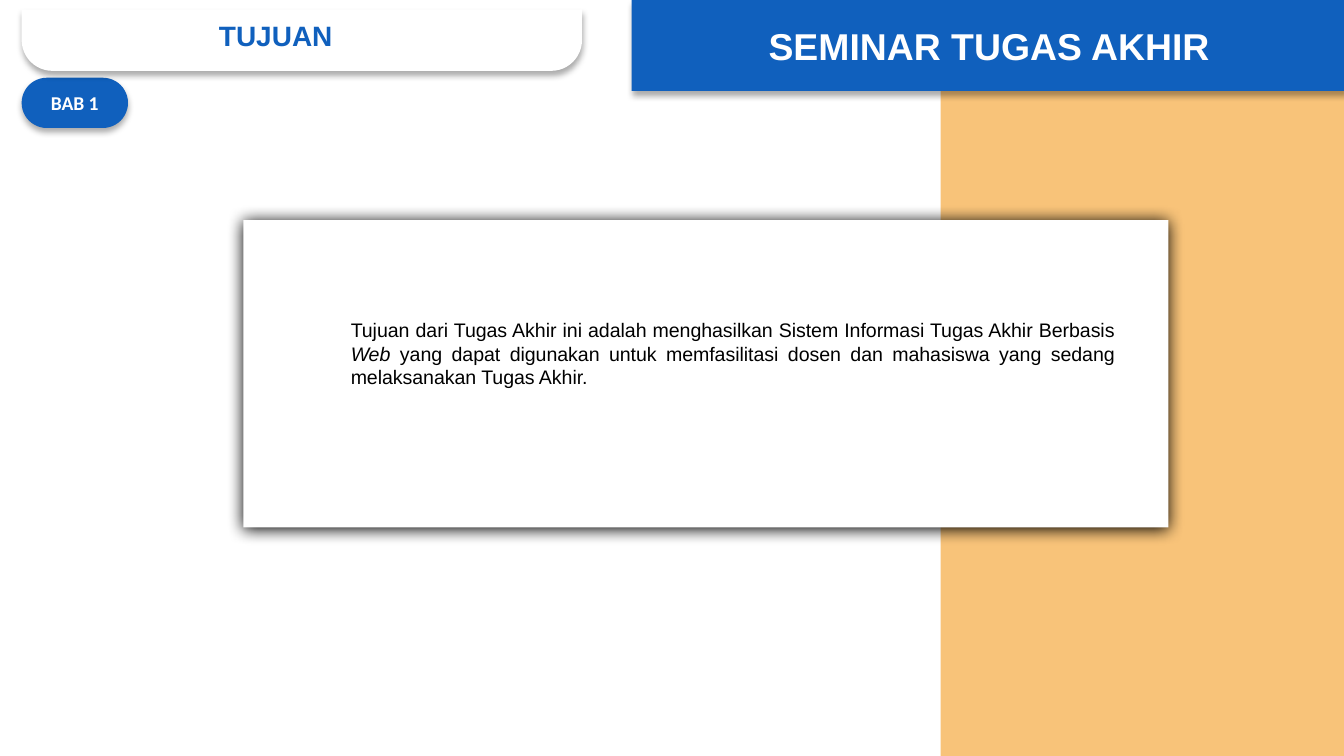
"""Build the TUJUAN slide of a final-project seminar deck."""
from dataclasses import dataclass
from typing import Optional

from lxml import etree
from pptx import Presentation, util as u
from pptx.dml.color import RGBColor
from pptx.enum import shapes, text
from pptx.oxml import ns

BLUE, ORANGE, WHITE, BLACK = "1060BD", "F8C379", "FFFFFF", "000000"
RECT = shapes.MSO_SHAPE.RECTANGLE
ROUND = shapes.MSO_SHAPE.ROUNDED_RECTANGLE
ROUND_TWO = shapes.MSO_SHAPE.ROUND_2_SAME_RECTANGLE
CENTER, LEFT = text.PP_ALIGN.CENTER, text.PP_ALIGN.LEFT


@dataclass
class Shadow:
    alpha: int
    blur: float
    dist: float


@dataclass
class Label:
    words: str
    size: float
    color: str
    font: str = "Arial"
    align: text.PP_ALIGN = CENTER
    inset: float = 0.25


@dataclass
class Panel:
    kind: shapes.MSO_SHAPE
    box: tuple[float, float, float, float]
    fill: str
    adj: tuple[float, ...] = ()
    shadow: Optional[Shadow] = None
    label: Optional[Label] = None


SOFT = Shadow(32, 3.5, 2.2)
PANELS = [
    Panel(RECT, (17.78, -0.03, 7.7, 14.35), ORANGE),
    Panel(ROUND_TWO, (4.6, 4.16, 17.48, 5.81), WHITE, (0, 0), Shadow(100, 8.5, 1)),
    Panel(ROUND, (0.41, 1.47, 2.01, 0.95), BLUE, (0.5,), SOFT,
          Label("BAB 1", 10.5, WHITE, "Calibri")),
    Panel(ROUND_TWO, (0.41, 0.18, 10.59, 1.16), WHITE, (0, 0.5), SOFT,
          Label("TUJUAN", 15, BLUE, align=LEFT, inset=3.56)),
    Panel(ROUND_TWO, (11.94, 0, 13.51, 1.72), BLUE, (0, 0), SOFT,
          Label("SEMINAR TUGAS AKHIR", 20, WHITE)),
]
GOAL = [
    ("Tujuan dari Tugas Akhir ini adalah menghasilkan Sistem Informasi "
     "Tugas Akhir Berbasis ", False),
    ("Web", True),
    (" yang dapat digunakan untuk memfasilitasi dosen dan mahasiswa yang "
     "sedang melaksanakan Tugas Akhir.", False),
]


def rgb(value: str) -> RGBColor:
    """Turn a hex string into a colour."""
    return RGBColor.from_string(value)


def set_font(font, name: str, size: float, color: str) -> None:
    """Set typeface, size and colour."""
    font.name, font.size = name, u.Pt(size)
    font.color.rgb = rgb(color)


def add_shadow(sp, shadow: Shadow) -> None:
    """Give a shape a black shadow that falls straight down."""
    effects = sp._element.spPr.find(ns.qn("a:effectLst"))
    outer = etree.SubElement(
        effects, ns.qn("a:outerShdw"), blurRad=str(u.Pt(shadow.blur)),
        dist=str(u.Pt(shadow.dist)), dir="5400000", algn="ctr", rotWithShape="0")
    color = etree.SubElement(outer, ns.qn("a:srgbClr"), val=BLACK)
    etree.SubElement(color, ns.qn("a:alpha"), val=str(shadow.alpha * 1000))


def add_label(sp, label: Label) -> None:
    """Write a bold label in the middle of a shape's height."""
    tf = sp.text_frame
    tf.vertical_anchor = text.MSO_ANCHOR.MIDDLE
    tf.margin_left = u.Cm(label.inset)
    p = tf.paragraphs[0]
    p.text, p.alignment = label.words, label.align
    set_font(p.font, label.font, label.size, label.color)
    p.font.bold = True


def add_panel(s, panel: Panel) -> None:
    """Draw a filled shape with its shadow and label."""
    sp = s.shapes.add_shape(panel.kind, *map(u.Cm, panel.box))
    for i, value in enumerate(panel.adj):
        sp.adjustments[i] = value
    sp.fill.solid()
    sp.fill.fore_color.rgb = rgb(panel.fill)
    sp.line.fill.background()
    sp.shadow.inherit = False
    if panel.shadow:
        add_shadow(sp, panel.shadow)
    if panel.label:
        add_label(sp, panel.label)


def add_goal(s) -> None:
    """Write the justified goal statement."""
    tf = s.shapes.add_textbox(*map(u.Cm, (6.38, 5.89, 14.96, 1.6))).text_frame
    tf.word_wrap = True
    p = tf.paragraphs[0]
    p.alignment = text.PP_ALIGN.JUSTIFY
    set_font(p.font, "Arial", 10.5, BLACK)
    for words, italic in GOAL:
        r = p.add_run()
        r.text, r.font.italic = words, italic


def main() -> None:
    """Build and save the slide."""
    prs = Presentation()
    prs.slide_width, prs.slide_height = u.Cm(25.4), u.Cm(14.29)
    s = prs.slides.add_slide(prs.slide_layouts[6])
    for panel in PANELS:
        add_panel(s, panel)
    add_goal(s)
    prs.save("out.pptx")


if __name__ == "__main__":
    main()
